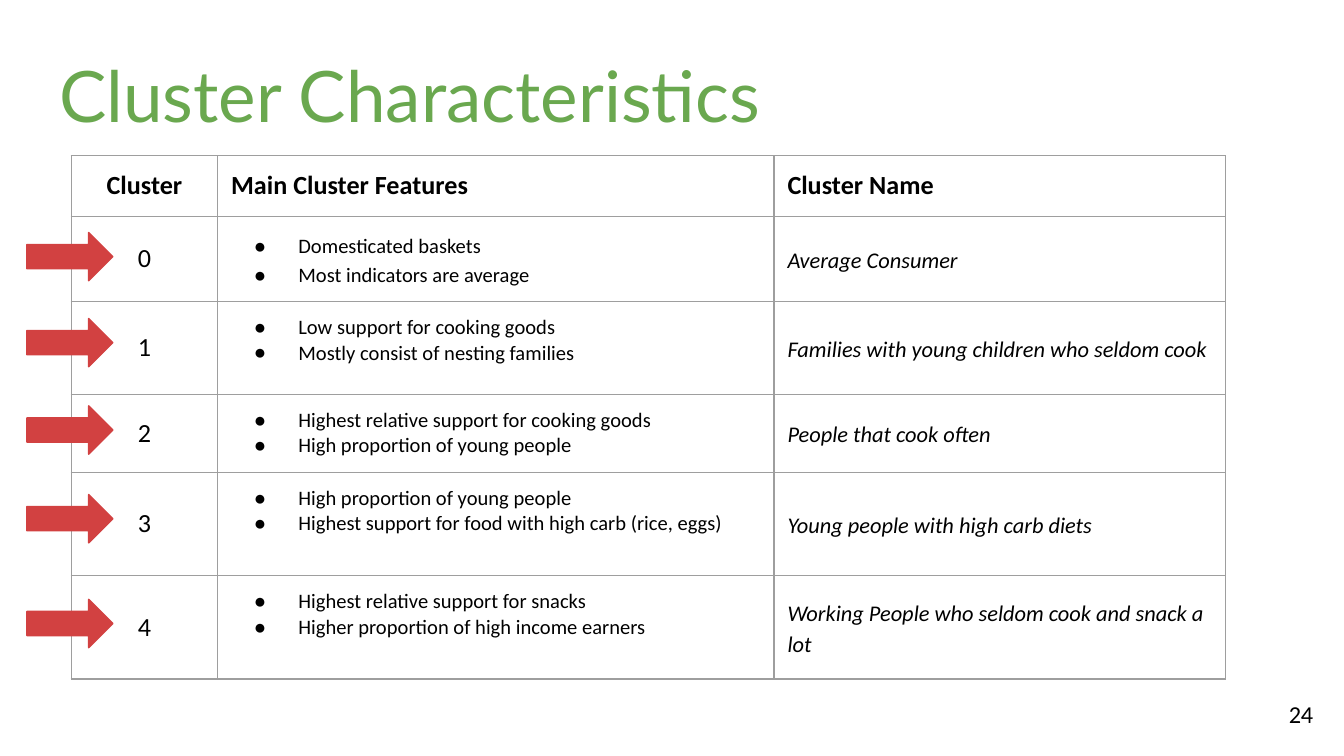
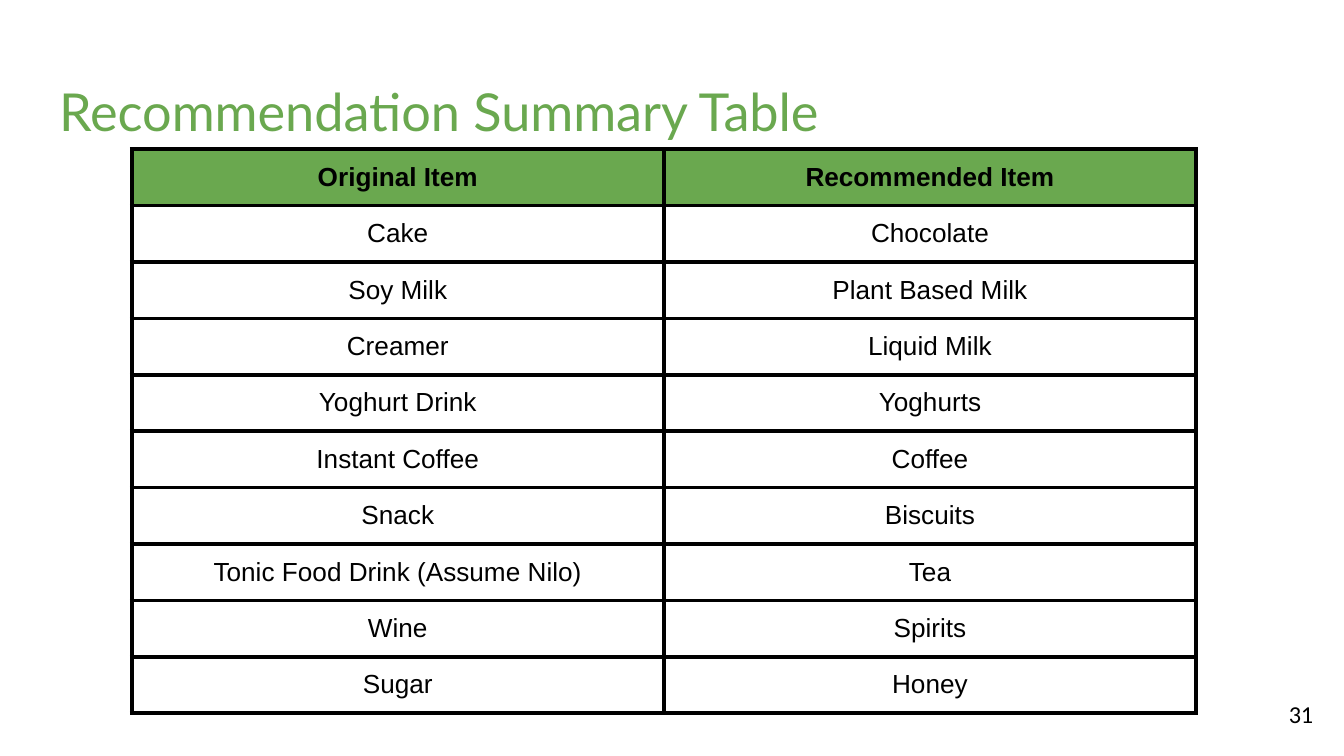
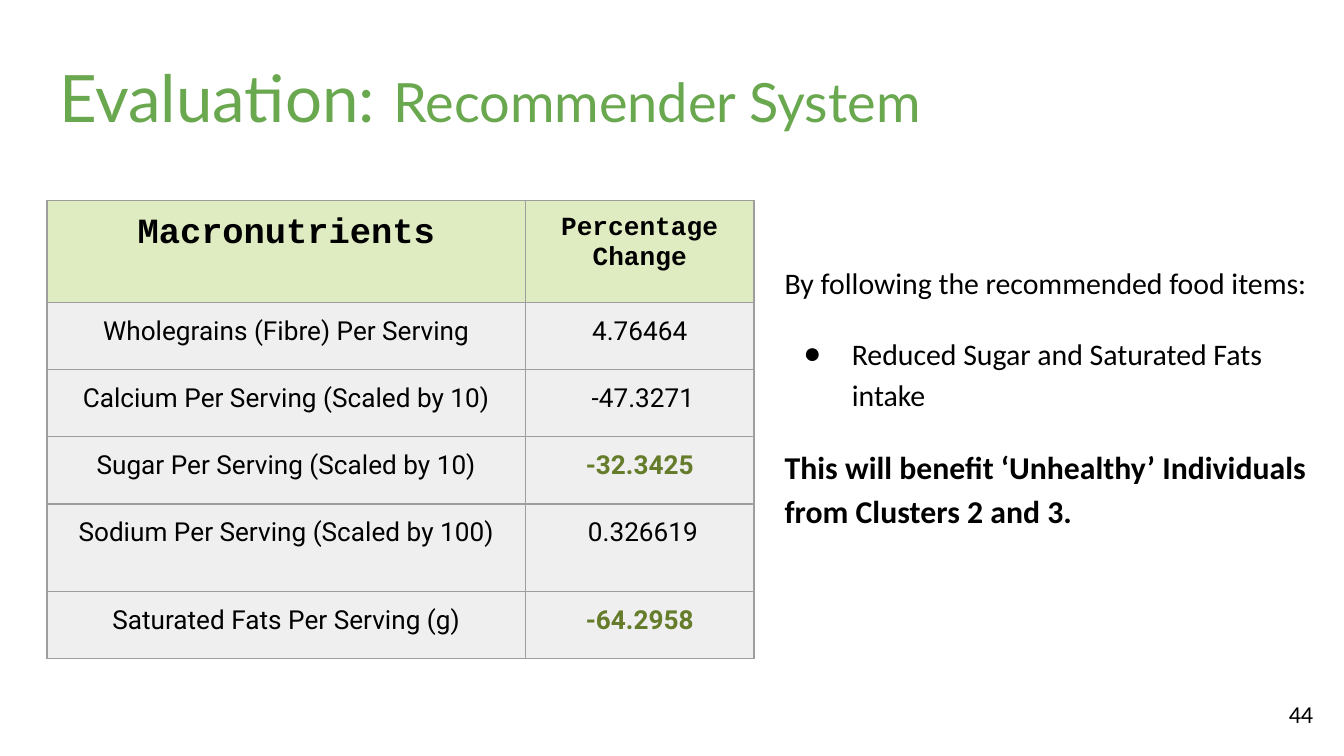
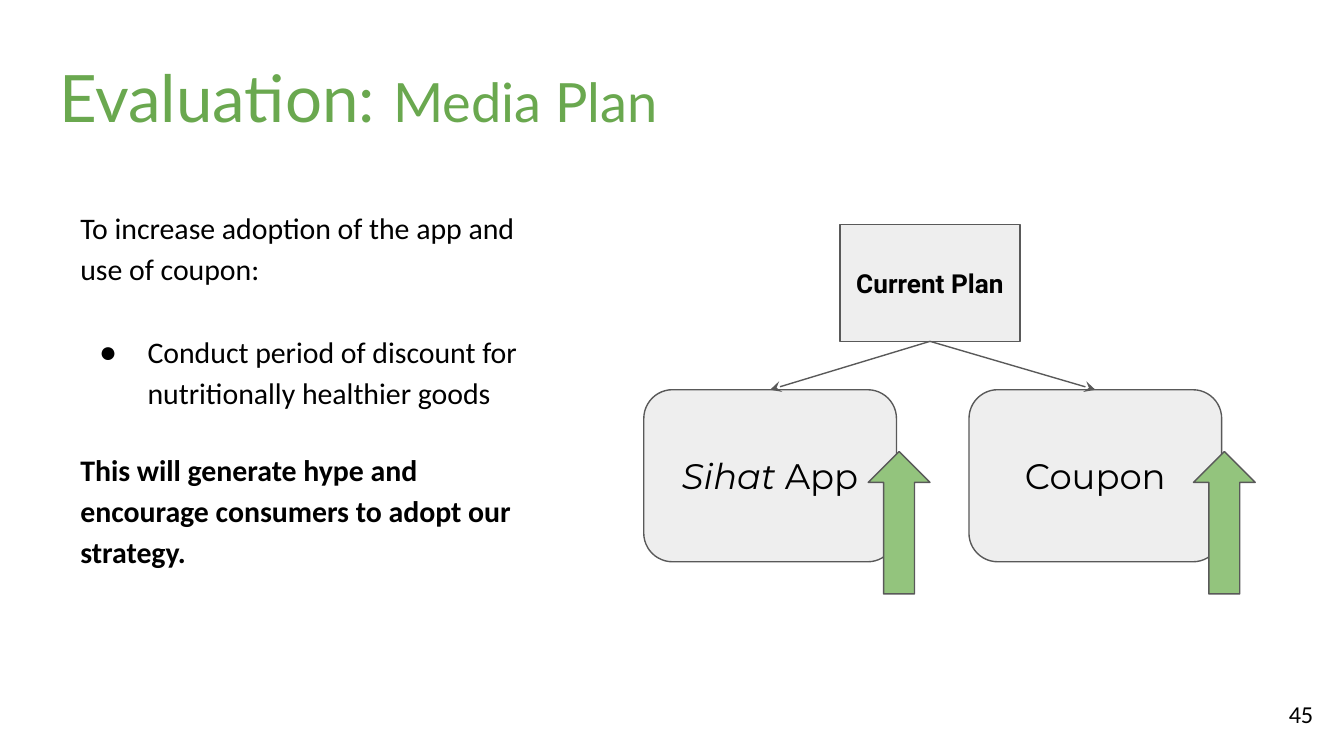
from pptx import Presentation
from pptx.dml.color import RGBColor
from pptx.enum.shapes import MSO_CONNECTOR, MSO_SHAPE
from pptx.enum.text import MSO_ANCHOR, MSO_AUTO_SIZE, PP_ALIGN
from pptx.oxml.ns import qn
from pptx.util import Inches, Pt
from lxml.etree import SubElement

COLORS = {
    "black": "000000", "title": "6AA84F", "grid": "9E9E9E", "marker": "D24141",
    "header": "DFEBC0", "row": "EFEFEF", "gain": "657C2B",
    "box": "EEEEEE", "outline": "595959", "rise": "93C47D",
}
INSET = 0.1
CENTER = {"align": PP_ALIGN.CENTER}

CLUSTER_HEAD = ["Cluster", "Main Cluster Features", "Cluster Name"]
CLUSTERS = [
    (["Domesticated baskets", "Most indicators are average"], "Average Consumer"),
    (["Low support for cooking goods", "Mostly consist of nesting families"],
     "Families with young children who seldom cook"),
    (["Highest relative support for cooking goods", "High proportion of young people"],
     "People that cook often"),
    (["High proportion of young people",
      "Highest support for food with high carb (rice, eggs)"],
     "Young people with high carb diets"),
    (["Highest relative support for snacks", "Higher proportion of high income earners"],
     "Working People who seldom cook and snack a lot"),
]
CLUSTER_ROWS = [0.45, 0.63, 0.69, 0.58, 0.77, 0.77]
MARKER_TOPS = [1.73, 2.37, 3.02, 3.68, 4.46]

SWAPS = [
    ("Original Item", "Recommended Item"),
    ("Cake", "Chocolate"),
    ("Soy Milk", "Plant Based Milk"),
    ("Creamer", "Liquid Milk"),
    ("Yoghurt Drink", "Yoghurts"),
    ("Instant Coffee", "Coffee"),
    ("Snack", "Biscuits"),
    ("Tonic Food Drink (Assume Nilo)", "Tea"),
    ("Wine", "Spirits"),
    ("Sugar", "Honey"),
]

NUTRIENT_HEAD = [("Macronutrients", 19), ("Percentage Change", 14)]
NUTRIENTS = [
    ("Wholegrains (Fibre) Per Serving", "4.76464", False),
    ("Calcium Per Serving (Scaled by 10)", " -47.3271", False),
    ("Sugar Per Serving (Scaled by 10)", "-32.3425", True),
    ("Sodium Per Serving (Scaled by 100)", " 0.326619", False),
    ("Saturated Fats Per Serving (g)", "-64.2958", True),
]
NUTRIENT_ROWS = [0.76, 0.5, 0.5, 0.5, 0.65, 0.5]

BODY = {"size": 16, "spacing": 1.15}
BULLET = {**BODY, "bullet": -0.36}
DIET_EFFECT = [
    ("By following the recommended food items:", BODY),
    ("Reduced Sugar and Saturated Fats intake", {**BULLET, "before": 16}),
    ("This will benefit ‘Unhealthy’ Individuals from Clusters 2 and 3.",
     {**BODY, "size": 17, "bold": True, "before": 16, "after": 16}),
]
PLAN_EFFECT = [
    ("To increase adoption of the app and use of coupon:", BODY),
    ("Conduct period of discount for nutritionally healthier goods",
     {**BULLET, "before": 22.5}),
    ("This will generate hype and encourage consumers to adopt our strategy.",
     {**BODY, "bold": True, "before": 19}),
]
CHANNELS = [
    (4.79, [("Sihat ", {"italic": True}), ("App", {})]),
    (7.21, [("Coupon", {})]),
]


def rgb(name):
    return RGBColor.from_string(COLORS[name])


def add_bullet(p, indent):
    pPr = p._p.get_or_add_pPr()
    pPr.set("marL", str(Inches(0.5)))
    pPr.set("indent", str(Inches(indent)))
    SubElement(SubElement(pPr, qn("a:buClr")), qn("a:srgbClr"), val=COLORS["black"])
    SubElement(pPr, qn("a:buFont"), typeface="Arial")
    SubElement(pPr, qn("a:buChar"), char="●")


def write(tf, paragraphs, anchor=MSO_ANCHOR.TOP):
    tf.word_wrap = True
    tf.auto_size = MSO_AUTO_SIZE.NONE
    tf.vertical_anchor = anchor
    tf.margin_left = tf.margin_right = tf.margin_top = tf.margin_bottom = Inches(INSET)
    fill_paragraphs(tf, paragraphs)


def fill_paragraphs(tf, paragraphs):
    for i, (content, style) in enumerate(paragraphs):
        p = tf.add_paragraph() if i else tf.paragraphs[0]
        p.alignment = style.get("align", PP_ALIGN.LEFT)
        p.line_spacing = style.get("spacing", 1.0)
        p.space_before = Pt(style.get("before", 0))
        p.space_after = Pt(style.get("after", 0))
        if "bullet" in style:
            add_bullet(p, style["bullet"])
        runs = [(content, {})] if isinstance(content, str) else content
        for text, own in runs:
            look = {**style, **own}
            r = p.add_run()
            r.text = text
            r.font.name = look.get("font", "Calibri")
            r.font.size = Pt(look["size"])
            r.font.bold = look.get("bold", False)
            r.font.italic = look.get("italic", False)
            r.font.color.rgb = rgb(look.get("color", "black"))


def add_text(s, box, paragraphs):
    write(s.shapes.add_textbox(*map(Inches, box)).text_frame, paragraphs)


def add_slide(prs, number, title, box, size):
    s = prs.slides.add_slide(prs.slide_layouts[5])
    sp = s.shapes.title
    sp.left, sp.top, sp.width, sp.height = map(Inches, box)
    write(sp.text_frame, [(title, {"size": size, "font": "Lato", "color": "title"})])
    add_text(s, (9.27, 5.1, 0.6, 0.43),
             [(str(number), {"size": 13, "align": PP_ALIGN.RIGHT})])
    return s


def add_evaluation_slide(prs, number, topic):
    title = [("Evaluation:", {"size": 35}), (" ", {}), (topic, {"size": 29})]
    return add_slide(prs, number, title, (0.34, 0.28, 7.9, 1.35), 38)


def add_shape(s, kind, box, fill, line):
    sp = s.shapes.add_shape(kind, *map(Inches, box))
    sp.shadow.inherit = False
    sp.fill.solid()
    sp.fill.fore_color.rgb = rgb(fill)
    sp.line.color.rgb = rgb(line)
    sp.line.width = Pt(0.75)
    return sp


def add_box(s, kind, box, content, style):
    sp = add_shape(s, kind, box, "box", "outline")
    write(sp.text_frame, [(content, {**CENTER, **style})], MSO_ANCHOR.MIDDLE)
    return sp


def add_arrow(s, start, end):
    line = s.shapes.add_connector(MSO_CONNECTOR.STRAIGHT, 0, 0, 0, 0)
    line.begin_connect(start, 2)
    line.end_connect(end, 0)
    line.line.color.rgb = rgb("outline")
    line.line.width = Pt(0.75)
    SubElement(line.line._get_or_add_ln(), qn("a:tailEnd"), type="stealth")
    SubElement(line._element.spPr, qn("a:effectLst"))


def add_borders(cell, color, width):
    tcPr = cell._tc.get_or_add_tcPr()
    for i, side in enumerate(("a:lnL", "a:lnR", "a:lnT", "a:lnB")):
        ln = tcPr.makeelement(qn(side), {"w": str(Pt(width))})
        SubElement(SubElement(ln, qn("a:solidFill")), qn("a:srgbClr"), val=COLORS[color])
        tcPr.insert(i, ln)


def add_grid(s, left, top, widths, heights, rows, border, width):
    tb = s.shapes.add_table(len(heights), len(widths), Inches(left), Inches(top),
                            Inches(sum(widths)), Inches(sum(heights))).table
    tb.first_row = tb.horz_banding = False
    for column, size in zip(tb.columns, widths):
        column.width = Inches(size)
    for row, size in zip(tb.rows, heights):
        row.height = Inches(size)
    for row, contents in zip(tb.rows, rows):
        for cell, (paragraphs, fill, anchor) in zip(row.cells, contents):
            cell.margin_left = cell.margin_right = Inches(INSET)
            cell.margin_top = cell.margin_bottom = Inches(INSET)
            cell.vertical_anchor = anchor
            if fill:
                cell.fill.solid()
                cell.fill.fore_color.rgb = rgb(fill)
            else:
                cell.fill.background()
            add_borders(cell, border, width)
            fill_paragraphs(cell.text_frame, paragraphs)


def cell_of(text, fill=None, anchor=MSO_ANCHOR.TOP, **style):
    texts = text if isinstance(text, list) else [text]
    return [(t, style) for t in texts], fill, anchor


def build_clusters(prs):
    s = add_slide(prs, 24, "Cluster Characteristics", (0.34, 0.28, 6.93, 0.63), 38)
    aligns = [PP_ALIGN.CENTER, PP_ALIGN.LEFT, PP_ALIGN.LEFT]
    rows = [[cell_of(t, size=14, bold=True, align=a) for t, a in zip(CLUSTER_HEAD, aligns)]]
    for i, (features, name) in enumerate(CLUSTERS):
        rows.append([
            cell_of(str(i), anchor=MSO_ANCHOR.MIDDLE, size=14, **CENTER),
            cell_of(features, size=11, bullet=-0.33, spacing=1.0 if i else 1.15),
            cell_of(name, anchor=MSO_ANCHOR.MIDDLE, size=12, italic=True, spacing=1.15),
        ])
    add_grid(s, 0.53, 1.16, [1.09, 4.14, 3.36], CLUSTER_ROWS, rows, "grid", 0.75)
    for top in MARKER_TOPS:
        add_shape(s, MSO_SHAPE.RIGHT_ARROW, (0.2, top, 0.64, 0.36), "marker", "marker")


def build_swaps(prs):
    s = add_slide(prs, 31, "Recommendation Summary Table", (0.34, 0.49, 9.32, 0.63), 28)
    rows = [[cell_of(t, None if i else "title", size=14, font="Arial", bold=i == 0, **CENTER)
             for t in pair] for i, pair in enumerate(SWAPS)]
    add_grid(s, 0.98, 1.11, [3.96] * 2, [0.42] * len(SWAPS), rows, "black", 2.25)


def build_nutrients(prs):
    s = add_evaluation_slide(prs, 44, "Recommender System")
    rows = [[cell_of(t, "header", size=size, font="Courier New", bold=True, **CENTER)
             for t, size in NUTRIENT_HEAD]]
    plain = {"size": 14, "font": "Roboto", **CENTER}
    for name, change, gain in NUTRIENTS:
        rows.append([
            cell_of(name, "row", **plain),
            cell_of(change, "row", bold=gain, color="gain" if gain else "black", **plain),
        ])
    add_grid(s, 0.35, 1.49, [3.56, 1.7], NUTRIENT_ROWS, rows, "grid", 0.75)
    add_text(s, (5.74, 1.83, 4.26, 2.5), DIET_EFFECT)


def build_media_plan(prs):
    s = add_evaluation_slide(prs, 45, "Media Plan")
    plan = add_box(s, MSO_SHAPE.RECTANGLE, (6.25, 1.67, 1.34, 0.87), "Current Plan",
                   {"size": 14, "font": "Roboto", "bold": True})
    for left, label in CHANNELS:
        channel = add_box(s, MSO_SHAPE.ROUNDED_RECTANGLE, (left, 2.9, 1.88, 1.28), label,
                          {"size": 19, "font": "Montserrat"})
        add_arrow(s, plan, channel)
        add_shape(s, MSO_SHAPE.UP_ARROW, (left + 1.67, 3.36, 0.46, 1.06), "rise", "outline")
    add_text(s, (0.5, 1.42, 3.5, 3.22), PLAN_EFFECT)


def main():
    prs = Presentation()
    prs.slide_width = Inches(10)
    prs.slide_height = prs.slide_width * 9 // 16
    for build in (build_clusters, build_swaps, build_nutrients, build_media_plan):
        build(prs)
    prs.save("out.pptx")


if __name__ == "__main__":
    main()
